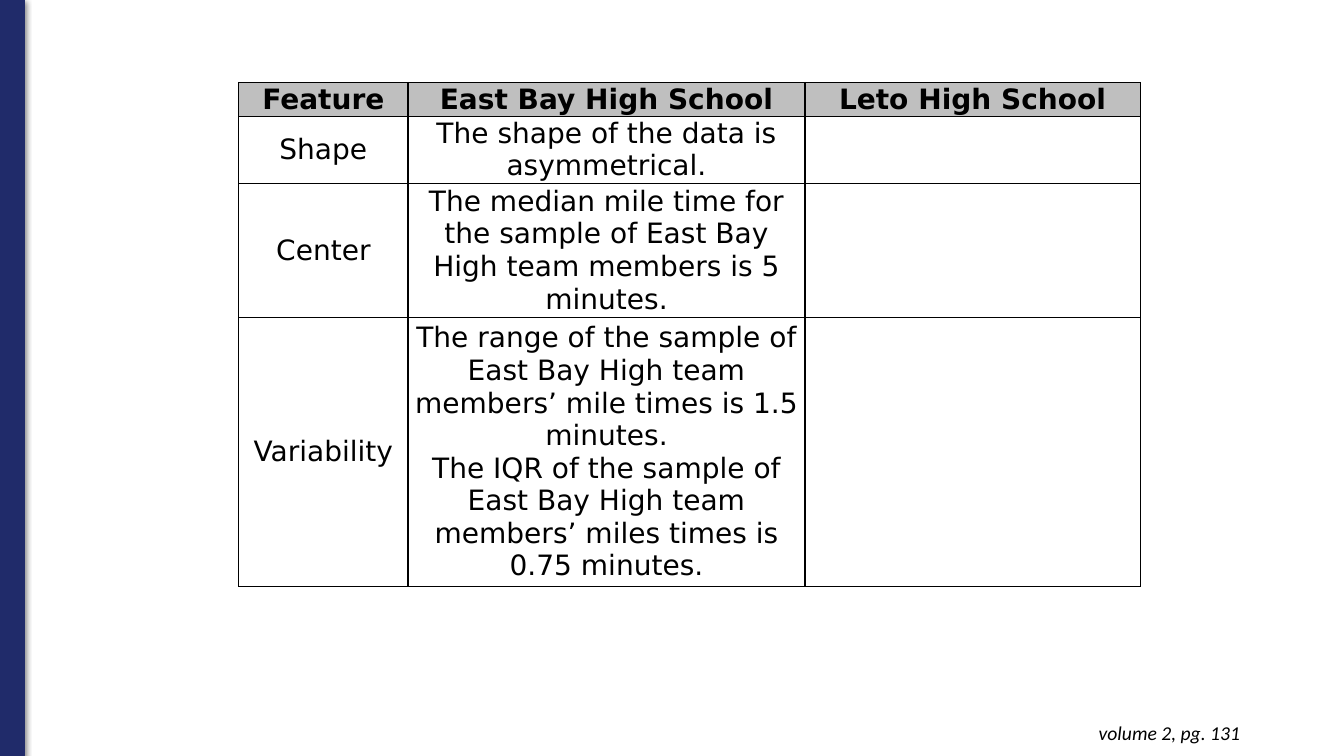
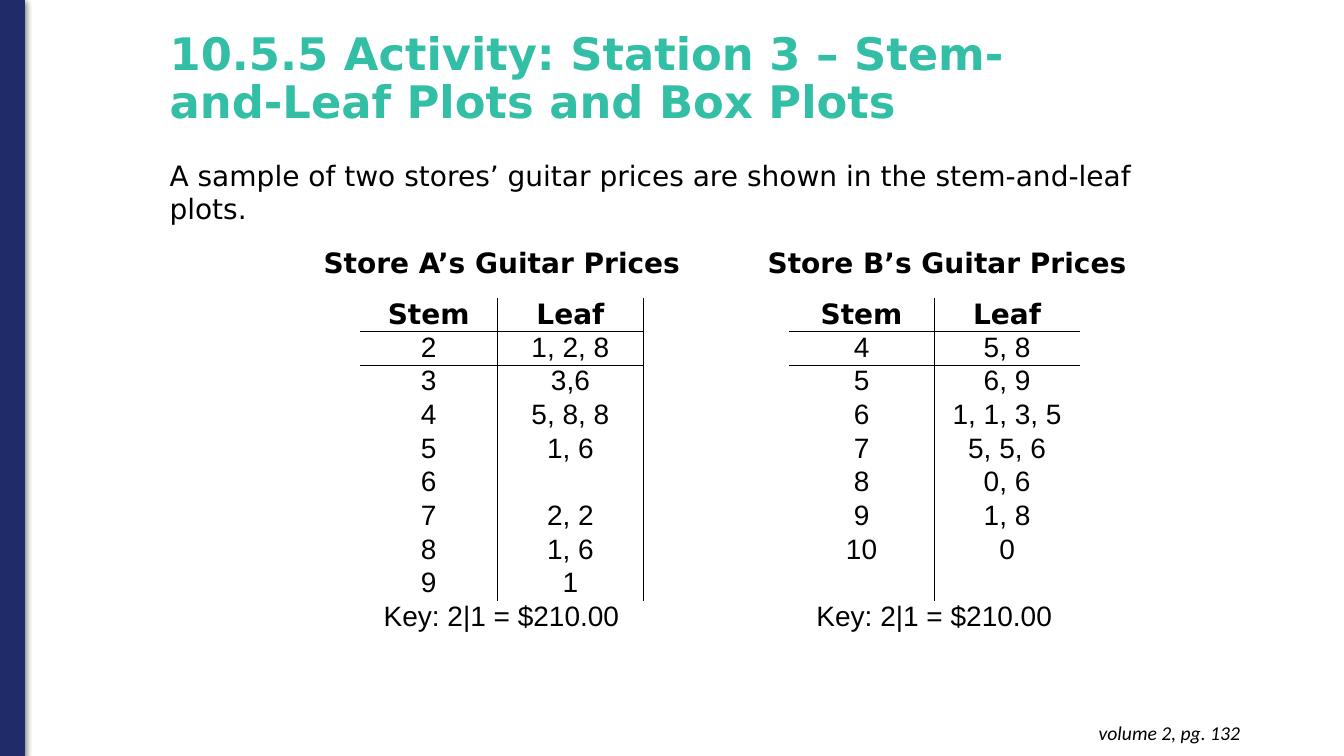
from lxml import etree
from pptx import Presentation
from pptx.dml.color import RGBColor
from pptx.enum import shapes, text
from pptx.oxml import ns
from pptx.util import Pt

COLORS = {"band": "202B6A", "title": "33BEA6", "ink": "000000", "header": "BFBFBF"}
SANS = "DejaVu Sans"
NO_TABLE_STYLE = "{2D5ABB26-0587-4C30-8999-92F81FD0307C}"
LEFT, CENTER, RIGHT = text.PP_ALIGN.LEFT, text.PP_ALIGN.CENTER, text.PP_ALIGN.RIGHT


def put_text(frame, words, align, size=20, font=SANS, color="ink", bold=False,
             italic=False, margins=(7.2, 3.6)):
    frame.text = words
    frame.word_wrap = True
    frame.margin_left = frame.margin_right = Pt(margins[0])
    frame.margin_top = frame.margin_bottom = Pt(margins[1])
    for paragraph in frame.paragraphs:
        paragraph.alignment = align
        style = paragraph.font
        style.size, style.name, style.bold, style.italic = Pt(size), font, bold, italic
        style.color.rgb = RGBColor.from_string(COLORS[color])
    return frame


def add_grid(slide, rows, left, top, widths, heights, sides_of, body_font,
             anchor, header_fill=None):
    """Add a centred table; sides_of(row, column) names a cell's ruled sides, from LRTB."""
    table = slide.shapes.add_table(len(rows), len(widths), Pt(left), Pt(top),
                                   Pt(sum(widths)), Pt(sum(heights))).table
    table._tbl.tblPr.find(ns.qn("a:tableStyleId")).text = NO_TABLE_STYLE
    table.first_row = table.horz_banding = False
    for column, width in zip(table.columns, widths):
        column.width = Pt(width)
    for r, (row, height) in enumerate(zip(rows, heights)):
        table.rows[r].height = Pt(height)
        for c, words in enumerate(row):
            cell = table.cell(r, c)
            put_text(cell.text_frame, words, CENTER,
                     font=SANS if r == 0 else body_font, bold=r == 0)
            cell.margin_left = cell.margin_right = Pt(5)
            cell.margin_top = cell.margin_bottom = 0
            cell.vertical_anchor = anchor
            properties = cell._tc.get_or_add_tcPr()
            for attribute in ("wrap", "lIns", "rIns", "tIns", "bIns"):
                properties.attrib.pop(attribute, None)
            for side in sides_of(r, c):
                rule = etree.SubElement(properties, ns.qn("a:ln" + side), w=str(Pt(1)))
                ink = etree.SubElement(rule, ns.qn("a:solidFill"))
                etree.SubElement(ink, ns.qn("a:srgbClr"), val=COLORS["ink"])
            if r == 0 and header_fill:
                cell.fill.solid()
                cell.fill.fore_color.rgb = RGBColor.from_string(COLORS[header_fill])
            else:
                cell.fill.background()
    return table


deck = Presentation()
deck.slide_width, deck.slide_height = Pt(960), Pt(540)

# Comparison of the two schools
comparison = deck.slides.add_slide(deck.slide_layouts[6])
features = [
    ("Feature", "East Bay High School", "Leto High School"),
    ("Shape", "The shape of the data is asymmetrical.", ""),
    ("Center", "The median mile time for the sample of East Bay High team "
               "members is 5 minutes.", ""),
    ("Variability", "The range of the sample of East Bay High team members’ mile "
                    "times is 1.5 minutes.\nThe IQR of the sample of East Bay High "
                    "team members’ miles times is 0.75 minutes.", ""),
]
add_grid(comparison, features, 170.5, 59, (121, 283.5, 239.5), (24, 48, 96, 192),
         lambda r, c: "LRTB", SANS, text.MSO_ANCHOR.MIDDLE, "header")

# Stem-and-leaf plots
activity = deck.slides.add_slide(deck.slide_layouts[5])
title = activity.shapes.title
title.left, title.top, title.width, title.height = Pt(114), Pt(5), Pt(631.5), Pt(104.5)
heading = put_text(title.text_frame,
                   "10.5.5 Activity: Station 3 – Stem-and-Leaf Plots and Box Plots",
                   LEFT, size=32, color="title", bold=True)
heading.auto_size = text.MSO_AUTO_SIZE.NONE
heading.vertical_anchor = text.MSO_ANCHOR.MIDDLE
heading.paragraphs[0].line_spacing = 0.9

question = activity.shapes.add_textbox(Pt(114), Pt(109.5), Pt(751.5), Pt(55.5)).text_frame
numbering = question.paragraphs[0]._p.get_or_add_pPr()
numbering.set("marL", str(Pt(36)))
numbering.set("indent", str(-Pt(36)))
etree.SubElement(numbering, ns.qn("a:buAutoNum"), type="arabicPeriod")
put_text(question, "A sample of two stores’ guitar prices are shown in the "
                   "stem-and-leaf plots.", LEFT)

for store, middle in (("A", 358.5), ("B", 676.5)):
    caption = activity.shapes.add_textbox(Pt(middle - 145), Pt(172), Pt(290), Pt(32))
    put_text(caption.text_frame, f"Store {store}’s Guitar Prices", CENTER, bold=True)

key = "Key: 2|1 = $210.00"
plots = [
    ("Stem", "Leaf", "", "Stem", "Leaf"),
    ("2", "1, 2, 8", "", "4", "5, 8"),
    ("3", "3,6", "", "5", "6, 9"),
    ("4", "5, 8, 8", "", "6", "1, 1, 3, 5"),
    ("5", "1, 6", "", "7", "5, 5, 6"),
    ("6", "", "", "8", "0, 6"),
    ("7", "2, 2", "", "9", "1, 8"),
    ("8", "1, 6", "", "10", "0"),
    ("9", "1", "", "", ""),
    (key, "", "", key, ""),
    ("", "", "", "", ""),
]
KEY_ROW, GAP_COLUMN = 9, 2


def plot_sides(r, c):
    if r >= KEY_ROW or c == GAP_COLUMN:
        return ""
    return ("R" if c in (0, 3) else "L") + {0: "B", 1: "T"}.get(r, "")


stem_leaf = add_grid(activity, plots, 257, 213, [98.5] + [104] * 4, [24] * len(plots),
                     plot_sides, "Arial", text.MSO_ANCHOR.TOP)
for r in range(KEY_ROW, len(plots)):
    for c in (0, 3):
        stem_leaf.cell(r, c).merge(stem_leaf.cell(r, c + 1))

# Band and page reference on every slide
for slide, page in ((comparison, 131), (activity, 132)):
    band = slide.shapes.add_shape(shapes.MSO_SHAPE.RECTANGLE, 0, 0, Pt(17.5), Pt(540))
    band.fill.solid()
    band.fill.fore_color.rgb = band.line.color.rgb = RGBColor.from_string(COLORS["band"])
    band.line.width = Pt(0.75)
    band.shadow.inherit = False
    effects = band._element.spPr.find(ns.qn("a:effectLst"))
    shadow = etree.SubElement(effects, ns.qn("a:outerShdw"), blurRad=str(Pt(4.5)),
                              dist=str(Pt(1.5)), dir="5400000", rotWithShape="0")
    shade = etree.SubElement(shadow, ns.qn("a:srgbClr"), val=COLORS["ink"])
    etree.SubElement(shade, ns.qn("a:alpha"), val="50000")

    reference = slide.shapes.add_textbox(Pt(685.5), Pt(508), Pt(207.5), Pt(32))
    put_text(reference.text_frame, f"volume 2, pg. {page}", RIGHT, size=14,
             font="Calibri", italic=True, margins=(7.2, 7.2))

deck.save("out.pptx")
